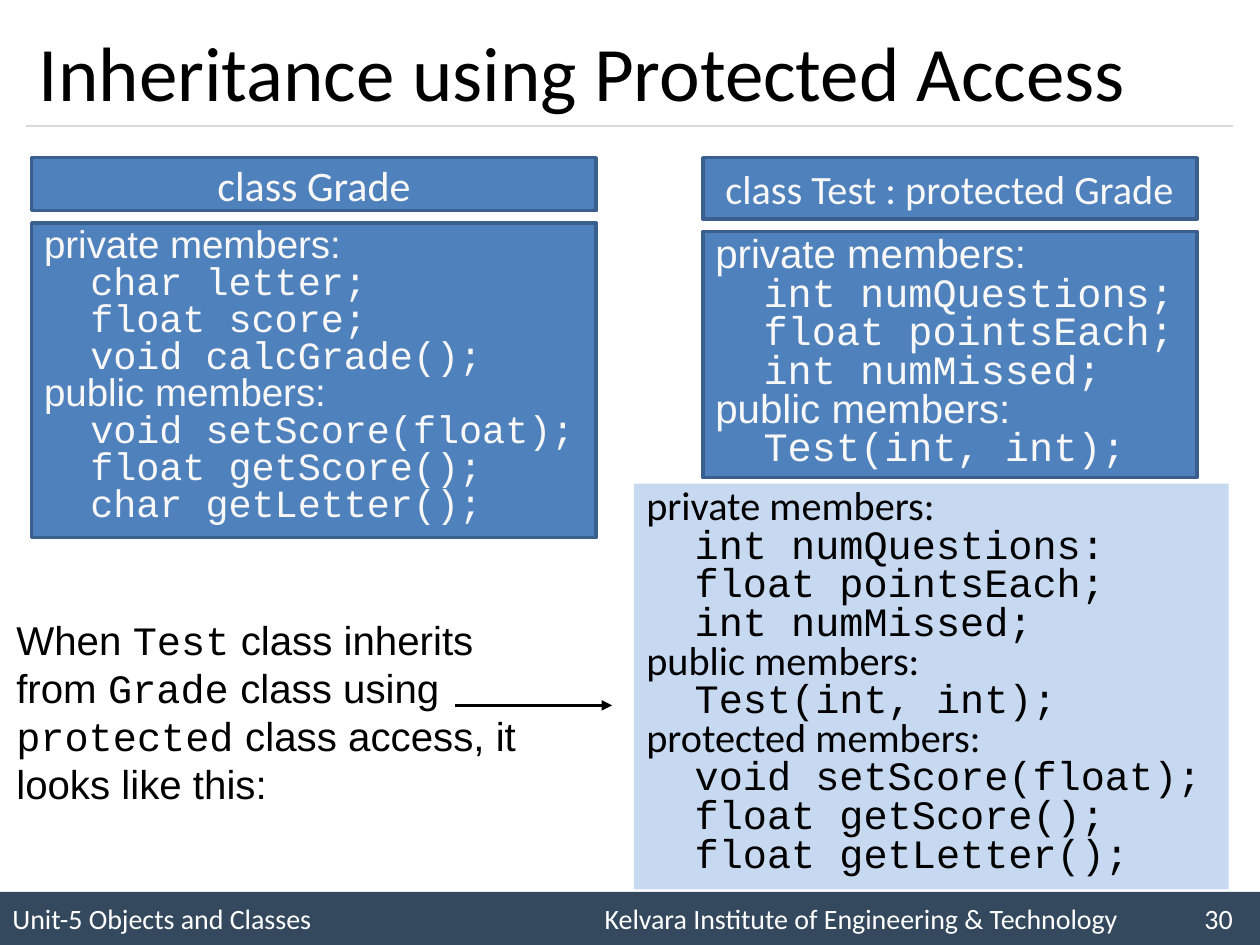
from lxml import etree
from pptx import Presentation
from pptx.dml.color import RGBColor
from pptx.enum.shapes import MSO_CONNECTOR, MSO_SHAPE
from pptx.enum.text import MSO_ANCHOR, MSO_AUTO_SIZE, PP_ALIGN
from pptx.oxml.ns import qn
from pptx.util import Cm, Pt

RECTANGLE = MSO_SHAPE.RECTANGLE
STRAIGHT = MSO_CONNECTOR.STRAIGHT
TOP, MIDDLE = MSO_ANCHOR.TOP, MSO_ANCHOR.MIDDLE
LEFT, CENTER = PP_ALIGN.LEFT, PP_ALIGN.CENTER
NO_AUTOFIT = MSO_AUTO_SIZE.NONE

HEADING, PROSE, CODE = "Calibri", "Arial", "Courier New"
BLACK, WHITE, OFF_WHITE = "000000", "FFFFFF", "F8F8F8"
BLUE, DARK_BLUE, PALE_BLUE = "4F81BD", "3A5F8C", "C6D9F1"
NAVY, GREY = "34495E", "D9D9D9"

GRADE_MEMBERS = {
    "private members:": ["char letter;", "float score;", "void calcGrade();"],
    "public members:": ["void setScore(float);", "float getScore();",
                        "char getLetter();"],
}
TEST_MEMBERS = {
    "private members:": ["int numQuestions;", "float pointsEach;", "int numMissed;"],
    "public members:": ["Test(int, int);"],
}
INHERITED_MEMBERS = {
    "private members:": ["int numQuestions:", "float pointsEach;", "int numMissed;"],
    "public members:": ["Test(int, int);"],
    "protected members:": ["void setScore(float);", "float getScore();",
                           "float getLetter();"],
}
EXPLANATION = [
    [("When ", PROSE), ("Test", CODE), (" class inherits", PROSE)],
    [("from ", PROSE), ("Grade", CODE), (" class using", PROSE)],
    [("protected", CODE), (" class access, it looks like this:", PROSE)],
]


def rgb(value):
    return RGBColor.from_string(value)


def style(font, name, size, color):
    font.name, font.size = name, Pt(size)
    font.color.rgb = rgb(color)


def next_paragraph(frame, index):
    return frame.add_paragraph() if index else frame.paragraphs[0]


def add_panel(slide, box, fill, border=None, anchor=MIDDLE):
    panel = slide.shapes.add_shape(RECTANGLE, *map(Cm, box))
    panel.shadow.inherit = False
    panel.fill.solid()
    panel.fill.fore_color.rgb = rgb(fill)
    if border:
        panel.line.color.rgb = rgb(border)
        panel.line.width = Pt(2)
    else:
        panel.line.fill.background()
    panel.text_frame.vertical_anchor = anchor
    return panel


def add_line(slide, start, end, color, width, arrow=False):
    line = slide.shapes.add_connector(STRAIGHT, *map(Cm, start + end))
    line.line.color.rgb = rgb(color)
    line.line.width = Pt(width)
    if arrow:
        etree.SubElement(line.line._get_or_add_ln(), qn("a:tailEnd"), type="triangle")
    etree.SubElement(line._element.spPr, qn("a:effectLst"))


def write_members(frame, members, label_font, size, color):
    """List each access label with its declarations indented two characters."""
    rows = []
    for label, declarations in members.items():
        rows.append((label, label_font, 0))
        rows += [(text, CODE, Pt(2 * 0.6 * size)) for text in declarations]
    for index, (text, font, indent) in enumerate(rows):
        paragraph = next_paragraph(frame, index)
        paragraph.text = text
        paragraph.alignment = LEFT
        paragraph.line_spacing = 0.8
        paragraph._p.get_or_add_pPr().set("marL", str(int(indent)))
        style(paragraph.font, font, size, color)


def add_class_card(slide, box, name, name_size, header_height, members, size):
    left, top, width, height = box
    header = add_panel(slide, (left, top, width, header_height), BLUE, DARK_BLUE)
    heading = header.text_frame.paragraphs[0]
    heading.text = name
    heading.alignment = CENTER
    style(heading.font, HEADING, name_size, OFF_WHITE)

    offset = header_height + 0.25
    body = add_panel(slide, (left, top + offset, width, height - offset),
                     BLUE, DARK_BLUE, TOP)
    write_members(body.text_frame, members, PROSE, size, OFF_WHITE)


def add_inherited_view(slide, box):
    panel = add_panel(slide, box, PALE_BLUE, anchor=TOP)
    write_members(panel.text_frame, INHERITED_MEMBERS, HEADING, 23, BLACK)


def add_explanation(slide, box):
    frame = slide.shapes.add_textbox(*map(Cm, box)).text_frame
    frame.word_wrap = True
    for index, pieces in enumerate(EXPLANATION):
        paragraph = next_paragraph(frame, index)
        for text, font in pieces:
            run = paragraph.add_run()
            run.text = text
            style(run.font, font, 23, BLACK)


def add_title(slide, box):
    title = slide.shapes.title
    title.left, title.top, title.width, title.height = map(Cm, box)
    frame = title.text_frame
    frame.auto_size = NO_AUTOFIT
    frame.vertical_anchor = MIDDLE
    heading = frame.paragraphs[0]
    heading.text = "Inheritance using Protected Access"
    heading.alignment = LEFT
    style(heading.font, HEADING, 44, BLACK)
    left, top, width, height = box
    add_line(slide, (left, top + height), (left + width, top + height), GREY, 0.75)


def add_footer(slide, box):
    """Unit, institute and page number, set apart by tab stops."""
    paragraph = add_panel(slide, box, NAVY).text_frame.paragraphs[0]
    paragraph.text = ("Unit-5 Objects and Classes\t"
                      "Kelvara Institute of Engineering & Technology\t30")
    paragraph.alignment = LEFT
    style(paragraph.font, HEADING, 16, WHITE)
    tabs = etree.Element(qn("a:tabLst"))
    for position in (11.94, 24.03):
        etree.SubElement(tabs, qn("a:tab"), pos=str(int(Cm(position))), algn="l")
    paragraph._p.get_or_add_pPr().find(qn("a:defRPr")).addprevious(tabs)


def main():
    deck = Presentation()
    deck.slide_width, deck.slide_height = Cm(25.4), Cm(19.05)
    slide = deck.slides.add_slide(deck.slide_layouts[5])

    add_footer(slide, (0, 17.98, 25.4, 1.07))
    add_title(slide, (0.53, 0.3, 24.33, 2.24))
    add_class_card(slide, (0.64, 3.18, 11.38, 7.66), "class Grade", 24, 1.07,
                   GRADE_MEMBERS, 22)
    add_class_card(slide, (14.17, 3.18, 9.96, 6.45), "class Test : protected Grade",
                   23, 1.24, TEST_MEMBERS, 23)
    add_explanation(slide, (0.08, 12.27, 10.8, 4.19))
    add_inherited_view(slide, (12.78, 9.75, 11.99, 8.18))
    add_line(slide, (9.17, 14.22), (12.34, 14.22), BLACK, 2, arrow=True)

    deck.save("out.pptx")


if __name__ == "__main__":
    main()
